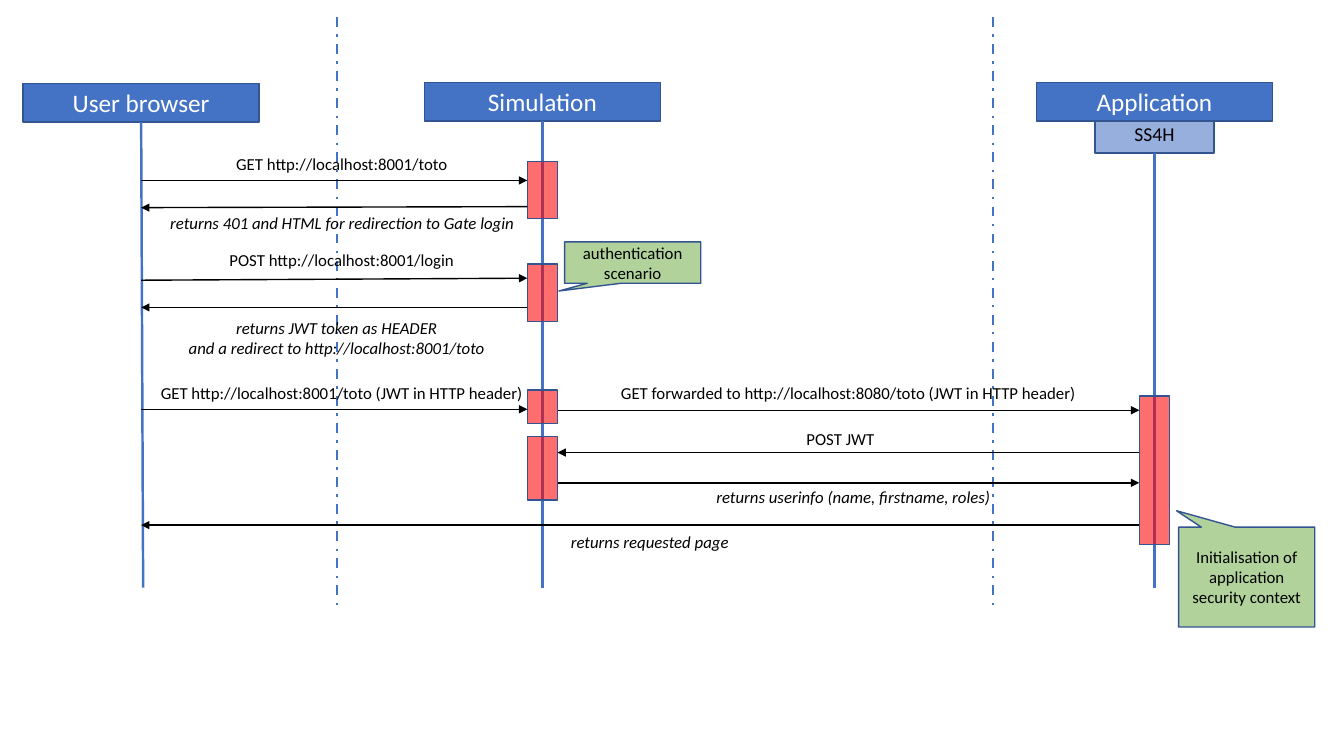
"""Build a sequence diagram of the login flow between browser, simulation and application."""
from dataclasses import dataclass

import lxml.etree
import pptx
import pptx.dml.color
import pptx.enum.dml
import pptx.enum.shapes
import pptx.enum.text
import pptx.oxml.ns
import pptx.shapes.autoshape
import pptx.shapes.connector
import pptx.slide
import pptx.text.text
import pptx.util

SHAPE = pptx.enum.shapes.MSO_SHAPE
COLS, ROWS = 133.3, 75
UNIT = pptx.util.Inches(0.1)


@dataclass(frozen=True)
class Theme:
    font: str = "Calibri"
    blue: str = "4472C4"
    outline: str = "325491"
    red: str = "FF0000"
    green: str = "70AD47"
    black: str = "000000"
    white: str = "FFFFFF"
    title: float = 18
    module: float = 14
    body: float = 12
    thin: float = 1
    thick: float = 1.75


@dataclass(frozen=True)
class Box:
    col: float
    row: float
    cols: float
    rows: float
    fill: str
    text: str = ""
    size: float = 12
    color: str = "000000"
    alpha: int = 100
    adjust: tuple[float, float] | None = None


@dataclass(frozen=True)
class Message:
    text: str
    start: float
    end: float
    row: float
    label: tuple[float, float, float]
    label_rows: float = 3
    drop: float = 0
    reply: bool = False


THEME = Theme()
BROWSER, SIMULATION, APPLICATION = 14, 53.8, 114.5
BAR = 3
SIM_LEFT, SIM_RIGHT = SIMULATION - BAR / 2, SIMULATION + BAR / 2
APP_LEFT = APPLICATION - BAR / 2
HEAD_COLS, HEAD_ROWS = 23.4, 3.8
LIFE_END = 58.3

MODULE = Box(APPLICATION - 5.9, 11.4, 11.8, 3.8, THEME.blue, "SS4H", THEME.module, alpha=56)
HEADS = [
    Box(center - HEAD_COLS / 2, row, HEAD_COLS, HEAD_ROWS, THEME.blue, name, THEME.title, THEME.white)
    for name, center, row in [
        ("User browser", BROWSER, 8.3),
        ("Simulation", SIMULATION, 8.2),
        ("Application", APPLICATION, 8.2),
    ]
]
BARS = [
    Box(left, row, BAR, rows, THEME.red, alpha=57)
    for left, row, rows in [
        (SIM_LEFT, 16, 5.7),
        (SIM_LEFT, 26.2, 5.7),
        (SIM_LEFT, 38.7, 3.3),
        (SIM_LEFT, 43.3, 6.3),
        (APP_LEFT, 39.3, 14.7),
    ]
]
CALLOUTS = [
    Box(56, 24, 13.5, 4.1, THEME.green, "authentication\nscenario", alpha=54, adjust=(-0.542, 0.689)),
    Box(116.9, 52.3, 13.5, 9.9, THEME.green, "Initialisation of application security context",
        alpha=54, adjust=(-0.516, -0.665)),
]
MESSAGES = [
    Message("GET http://localhost:8001/toto", BROWSER, SIM_LEFT, 17.9, (14, 14.8, 39.8)),
    Message("returns 401 and HTML for redirection to Gate login", SIM_LEFT, BROWSER, 20.5,
            (14.5, 20.6, 38.9), drop=0.1, reply=True),
    Message("POST http://localhost:8001/login", BROWSER, SIM_LEFT, 27.8, (14.4, 24.3, 39), drop=-0.2),
    Message("returns JWT token as HEADER\nand a redirect to http://localhost:8001/toto", SIM_LEFT,
            BROWSER, 30.5, (1.8, 31, 63.2), label_rows=5, reply=True),
    Message("GET http://localhost:8001/toto (JWT in HTTP header)", BROWSER, SIM_LEFT, 40.6,
            (14, 37.5, 39.8)),
    Message("GET forwarded to http://localhost:8080/toto (JWT in HTTP header)", SIM_RIGHT, APP_LEFT,
            40.7, (53.9, 37.5, 60.5)),
    Message("POST JWT", APP_LEFT, SIM_RIGHT, 44.9, (64.7, 42, 37.3)),
    Message("returns userinfo (name, firstname, roles)", SIM_RIGHT, APP_LEFT, 47.9,
            (66, 47.8, 37.3), reply=True),
    Message("returns requested page", APP_LEFT, BROWSER, 52.1, (14.2, 52.3, 100.5), reply=True),
]


def grid(count: float) -> pptx.util.Emu:
    return pptx.util.Emu(round(count * UNIT))


def rgb(value: str) -> pptx.dml.color.RGBColor:
    return pptx.dml.color.RGBColor.from_string(value)


def write(tf: pptx.text.text.TextFrame, text: str, size: float, color: str, italic: bool = False) -> None:
    tf.text = text
    tf.word_wrap = True
    for p in tf.paragraphs:
        p.alignment = pptx.enum.text.PP_ALIGN.CENTER
        for r in p.runs:
            r.font.name = THEME.font
            r.font.size = pptx.util.Pt(size)
            r.font.color.rgb = rgb(color)
            r.font.italic = italic


def draw_box(s: pptx.slide.Slide, box: Box) -> pptx.shapes.autoshape.Shape:
    kind = SHAPE.RECTANGLE if box.adjust is None else SHAPE.RECTANGULAR_CALLOUT
    sp = s.shapes.add_shape(kind, grid(box.col), grid(box.row), grid(box.cols), grid(box.rows))
    sp.shadow.inherit = False
    sp.fill.solid()
    sp.fill.fore_color.rgb = rgb(box.fill)
    sp.line.color.rgb = rgb(THEME.outline)
    sp.line.width = pptx.util.Pt(THEME.thin)
    if box.alpha < 100:
        clr = sp.element.spPr.find(pptx.oxml.ns.qn("a:solidFill"))[0]
        lxml.etree.SubElement(clr, pptx.oxml.ns.qn("a:alpha"), val=str(box.alpha * 1000))
    if box.adjust is not None:
        sp.adjustments[0], sp.adjustments[1] = box.adjust
    if box.text:
        sp.text_frame.vertical_anchor = pptx.enum.text.MSO_ANCHOR.MIDDLE
        write(sp.text_frame, box.text, box.size, box.color)
    return sp


def draw_line(s: pptx.slide.Slide, start: tuple[float, float], end: tuple[float, float], color: str,
              width: float, arrow: bool = False, dashed: bool = False) -> pptx.shapes.connector.Connector:
    points = [grid(value) for value in (*start, *end)]
    line = s.shapes.add_connector(pptx.enum.shapes.MSO_CONNECTOR.STRAIGHT, *points)
    line.line.color.rgb = rgb(color)
    line.line.width = pptx.util.Pt(width)
    if dashed:
        line.line.dash_style = pptx.enum.dml.MSO_LINE.DASH_DOT
    spPr = line.element.spPr
    if arrow:
        ln = spPr.find(pptx.oxml.ns.qn("a:ln"))
        lxml.etree.SubElement(ln, pptx.oxml.ns.qn("a:tailEnd"), type="triangle")
    lxml.etree.SubElement(spPr, pptx.oxml.ns.qn("a:effectLst"))
    return line


def draw_message(s: pptx.slide.Slide, m: Message) -> None:
    draw_line(s, (m.start, m.row), (m.end, m.row + m.drop), THEME.black, THEME.thin, arrow=True)
    col, row, cols = m.label
    sp = s.shapes.add_textbox(grid(col), grid(row), grid(cols), grid(m.label_rows))
    write(sp.text_frame, m.text, THEME.body, THEME.black, m.reply)
    sp.text_frame.auto_size = pptx.enum.text.MSO_AUTO_SIZE.SHAPE_TO_FIT_TEXT


def main() -> None:
    prs = pptx.Presentation()
    prs.slide_width, prs.slide_height = grid(COLS), grid(ROWS)
    s = prs.slides.add_slide(prs.slide_layouts[6])
    module = draw_box(s, MODULE)
    browser, simulation, _ = [draw_box(s, head) for head in HEADS]
    for owner, top, foot in [(browser, (BROWSER, 12.1), BROWSER + 0.2),
                             (simulation, (SIMULATION, 12), SIMULATION),
                             (module, (APPLICATION, 15.2), APPLICATION)]:
        life = draw_line(s, top, (foot, LIFE_END), THEME.blue, THEME.thick)
        life.begin_connect(owner, 2)
    for col in (33.4, 98.5):
        draw_line(s, (col, 1.7), (col, 60.2), THEME.blue, THEME.thick, dashed=True)
    for box in BARS + CALLOUTS:
        draw_box(s, box)
    for message in MESSAGES:
        draw_message(s, message)
    prs.save("out.pptx")


if __name__ == "__main__":
    main()
